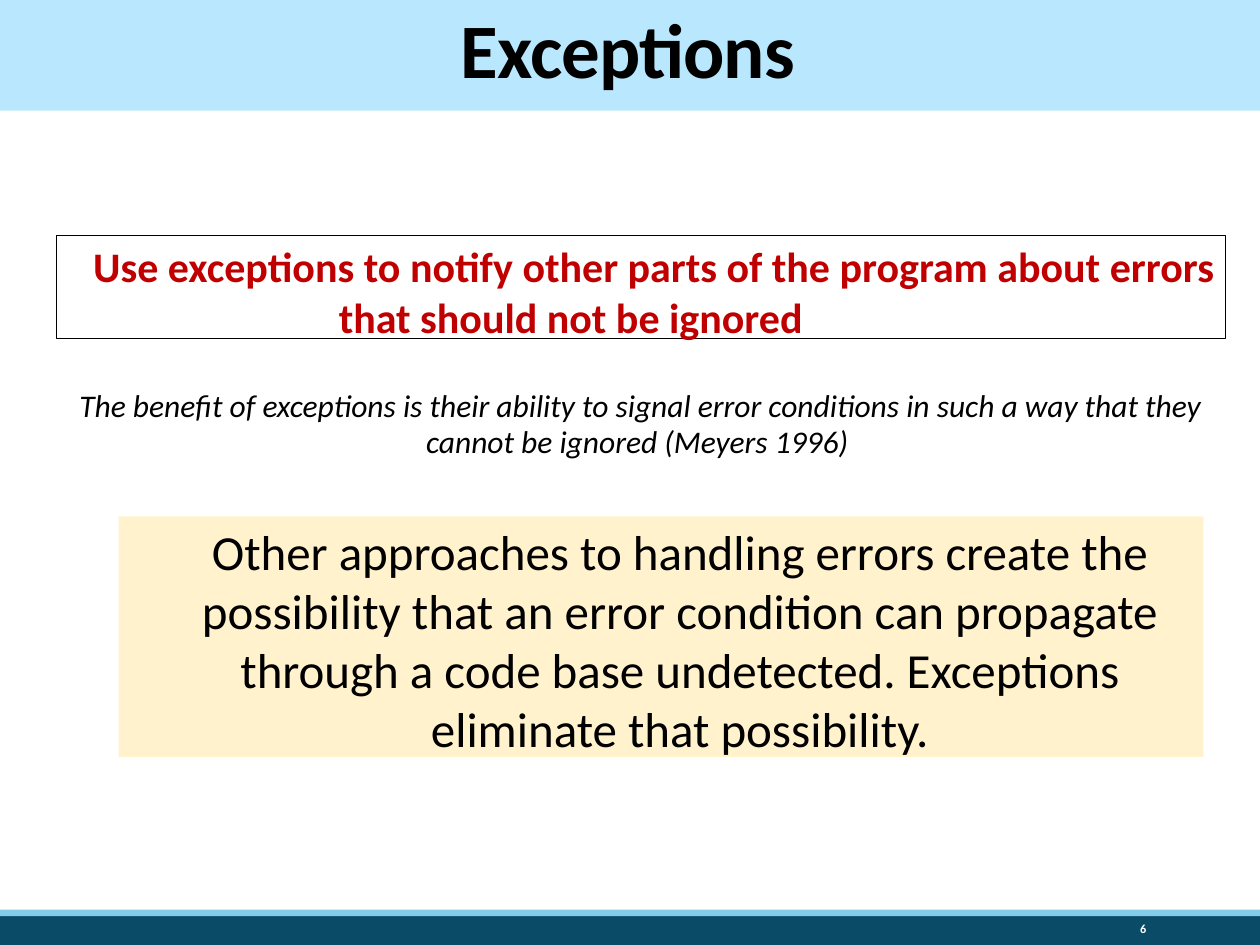
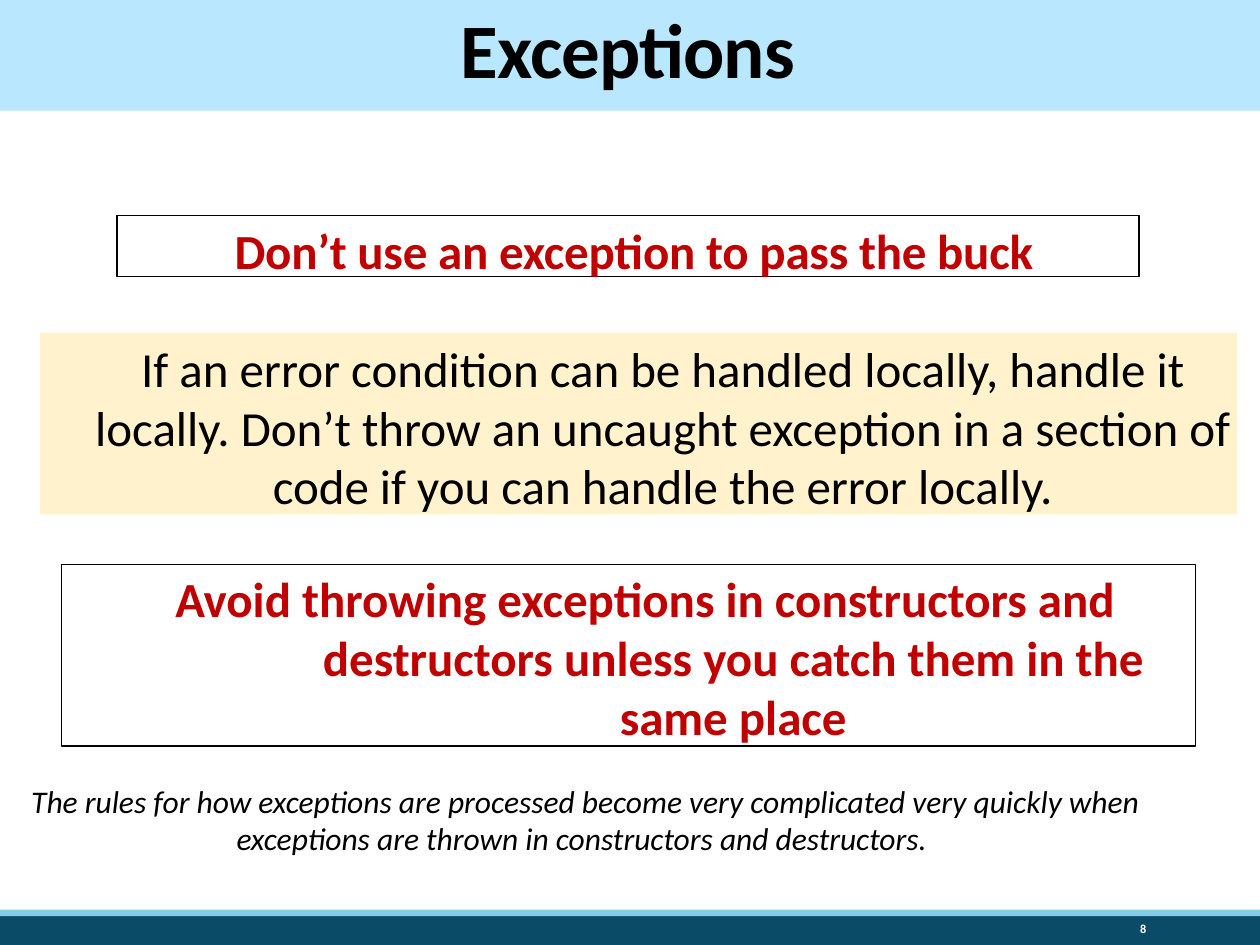
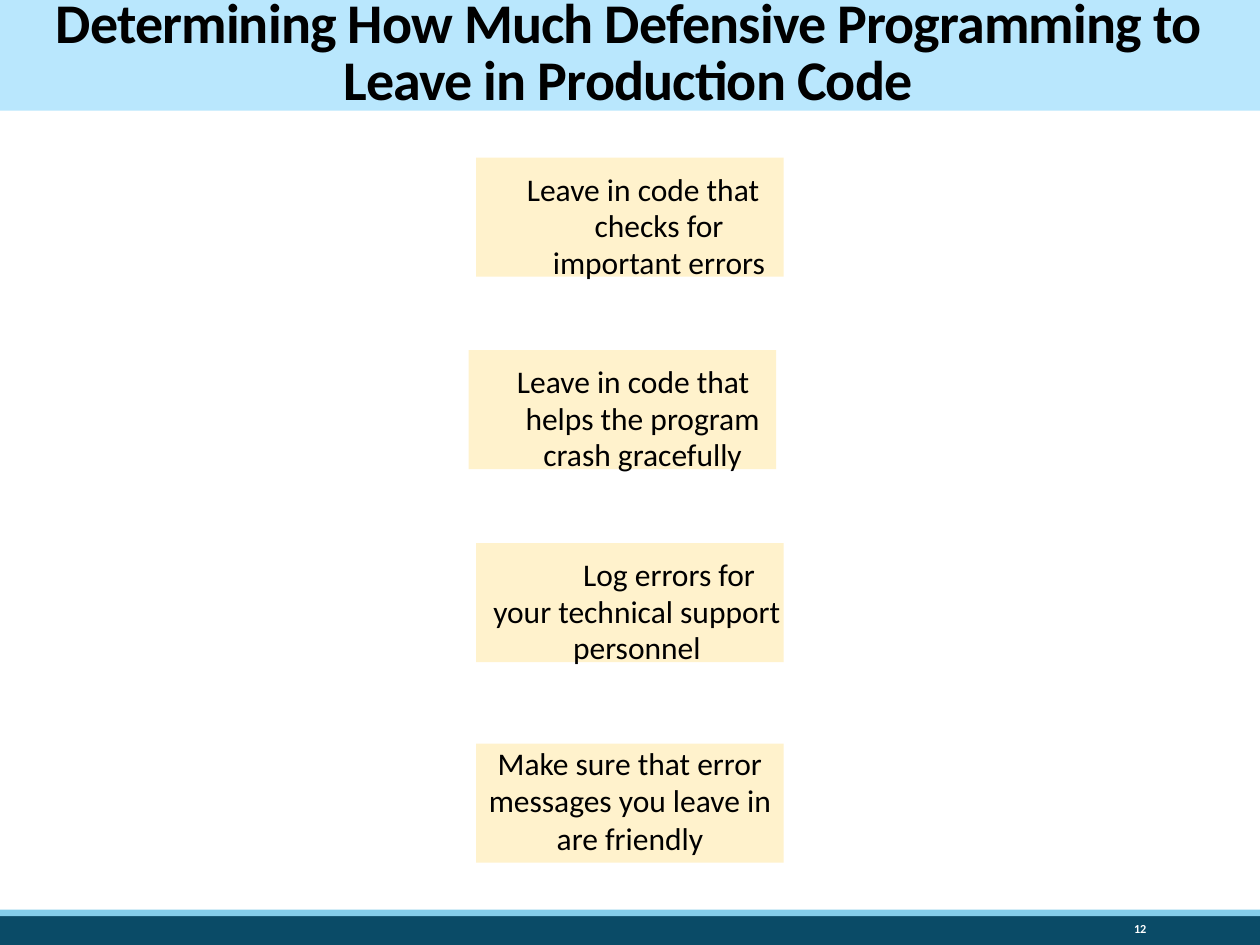
from pptx import Presentation
from pptx.dml.color import RGBColor
from pptx.enum.shapes import MSO_SHAPE
from pptx.enum.text import MSO_ANCHOR, MSO_AUTO_SIZE, PP_ALIGN
from pptx.util import Cm, Pt

RECT = MSO_SHAPE.RECTANGLE
MIDDLE, TOP = MSO_ANCHOR.MIDDLE, MSO_ANCHOR.TOP
LEFT, CENTER, RIGHT = PP_ALIGN.LEFT, PP_ALIGN.CENTER, PP_ALIGN.RIGHT
NO_FIT = MSO_AUTO_SIZE.NONE

BLACK = RGBColor(0x00, 0x00, 0x00)
WHITE = RGBColor(0xFF, 0xFF, 0xFF)
RED = RGBColor(0xC0, 0x00, 0x00)
CREAM = RGBColor(0xFF, 0xF2, 0xCC)
SKY = RGBColor(0xB9, 0xE7, 0xFD)
AQUA = RGBColor(0x84, 0xCD, 0xEA)
NAVY = RGBColor(0x0A, 0x4B, 0x67)

# Boxes are left, top, width, height in centimetres
TITLE = (-0.08, -0.03, 25.48, 2.26)
NUMBER = (20.62, 18.47, 2.74, 0.53)
BANDS = (((0, 18.47, 25.4, 0.6), NAVY), ((0, 18.34, 25.4, 0.13), AQUA))

# Kinds of text
HEAD = {"size": Pt(44), "bold": True}
LONG = {"size": Pt(32), "bold": True}
RULE = {"size": Pt(28), "bold": True, "color": RED}
BODY = {"size": Pt(28)}
NOTE = {"size": Pt(18), "italic": True}
STEP = {"size": Pt(18)}
PAGE = {"size": Pt(7), "bold": True, "color": WHITE}


def place(box):
    return [Cm(n) for n in box]


def write(shape, text, style, align=CENTER, anchor=TOP, lines=None,
          inset=None, indent=(0, 0), track=0):
    """Fill a shape with one formatted paragraph."""
    frame = shape.text_frame
    frame.word_wrap = True
    frame.auto_size = NO_FIT
    frame.vertical_anchor = anchor
    if inset is not None:
        frame.margin_left = frame.margin_right = frame.margin_bottom = 0
        frame.margin_top = Cm(inset)
    para = frame.paragraphs[0]
    para.alignment = align
    para.space_before = Pt(0)
    if lines:
        para.line_spacing = lines
    props = para._p.get_or_add_pPr()
    for key, size in zip(("marL", "indent"), indent):
        props.set(key, str(int(Cm(size))))
    run = para.add_run()
    run.text = text
    look = {"name": "Calibri", "color": BLACK, **style}
    run.font.color.rgb = look.pop("color")
    for key, value in look.items():
        setattr(run.font, key, value)
    if track:
        run._r.get_or_add_rPr().set("spc", str(track))


def panel(slide, box, fill=None, line=None):
    shape = slide.shapes.add_shape(RECT, *place(box))
    shape.shadow.inherit = False
    if fill is None:
        shape.fill.background()
    else:
        shape.fill.solid()
        shape.fill.fore_color.rgb = fill
    if line is None:
        shape.line.fill.background()
    else:
        shape.line.color.rgb = line
        shape.line.width = Pt(0.75)
    return shape


def rule(slide, box, text, **form):
    """Red guideline in a thin frame."""
    write(panel(slide, box, line=BLACK), text, **{"style": RULE, **form})


def body(slide, box, text, **form):
    """Text on a cream ground."""
    write(panel(slide, box, fill=CREAM), text, **{"style": BODY, **form})


def note(slide, box, text, indent):
    """Italic remark whose first line hangs out to the left."""
    shape = slide.shapes.add_textbox(*place(box))
    write(shape, text, NOTE, LEFT, lines=Pt(20.9), inset=0.15, indent=indent)


def bands(slide, layout):
    """Move the footer bands to the layout, behind its placeholders."""
    for spot, (box, fill) in enumerate(BANDS, 2):
        layout.shapes.element.insert(spot, panel(slide, box, fill).element)


def start(deck, layout, title, page, style=HEAD):
    """New slide with title band and page number."""
    slide = deck.slides.add_slide(layout)
    head = slide.shapes.title
    head.left, head.top, head.width, head.height = place(TITLE)
    head.fill.solid()
    head.fill.fore_color.rgb = SKY
    write(head, title, style, anchor=MIDDLE, lines=0.85, track=-50)
    foot = slide.shapes.add_textbox(*place(NUMBER))
    write(foot, page, PAGE, RIGHT, MIDDLE, lines=0.9)
    return slide


def notify(deck, layout):
    slide = start(deck, layout, "Exceptions", "6")
    bands(slide, layout)
    note(slide, (1.55, 7.65, 22.71, 1.57),
         "The benefit of exceptions is their ability to signal error conditions "
         "in such a way that they cannot be ignored (Meyers 1996)", (7.04, -6.99))
    rule(slide, (1.14, 4.75, 23.57, 2.08),
         "Use exceptions to notify other parts of the program about errors "
         "that should not be ignored", style={**RULE, "size": Pt(24)},
         align=LEFT, lines=1.01, inset=0.09, indent=(5.69, -4.95))
    body(slide, (2.39, 10.41, 21.87, 4.85),
         "Other approaches to handling errors create the possibility that an "
         "error condition can propagate through a code base undetected. "
         "Exceptions eliminate that possibility.", inset=0.11, indent=(0.76, 0))


def avoid(deck, layout):
    slide = start(deck, layout, "Exceptions", "8")
    rule(slide, (2.36, 4.34, 20.6, 1.24),
         "Don’t use an exception to pass the buck",
         inset=0.11, indent=(0.23, 0), track=-10)
    body(slide, (0.81, 6.71, 24.13, 3.66),
         "If an error condition can be handled locally, handle it locally. "
         "Don’t throw an uncaught exception in a section of code if you can "
         "handle the error locally.", inset=0.11, indent=(0.97, 0))
    note(slide, (0.58, 15.65, 24.13, 1.57),
         "The rules for how exceptions are processed become very complicated "
         "very quickly when exceptions are thrown in constructors and "
         "destructors.", (4.19, -4.14))
    rule(slide, (1.24, 11.38, 22.86, 3.66),
         "Avoid throwing exceptions in constructors and destructors unless "
         "you catch them in the same place",
         lines=1.01, inset=0.06, indent=(4.22, -3.56))


def leave(deck, layout):
    slide = start(deck, layout, "Determining How Much Defensive Programming "
                  "to Leave in Production Code", "12", LONG)
    # Left, top, line spacing, top inset, indents, text
    steps = (
        (9.6, 3.18, Pt(20.9), 0.27, (1.17, -0.64),
         "Leave in code that checks for important errors"),
        (9.45, 7.06, Pt(20.9), 0.27, (0.81, -0.38),
         "Leave in code that helps the program crash gracefully"),
        (9.6, 10.95, Pt(20.9), 0.27, (0.28, 1.3),
         "Log errors for your technical support personnel"),
        (9.6, 14.99, None, 0, (0, 0),
         "Make sure that error messages you leave in are friendly"),
    )
    for left, top, lines, inset, indent, text in steps:
        body(slide, (left, top, 6.2, 2.4), text, style=STEP,
             lines=lines, inset=inset, indent=indent)


def main():
    deck = Presentation()
    deck.slide_width, deck.slide_height = Cm(25.4), Cm(19.05)
    layout = deck.slide_layouts[5]
    for build in (notify, avoid, leave):
        build(deck, layout)
    deck.save("out.pptx")


if __name__ == "__main__":
    main()
